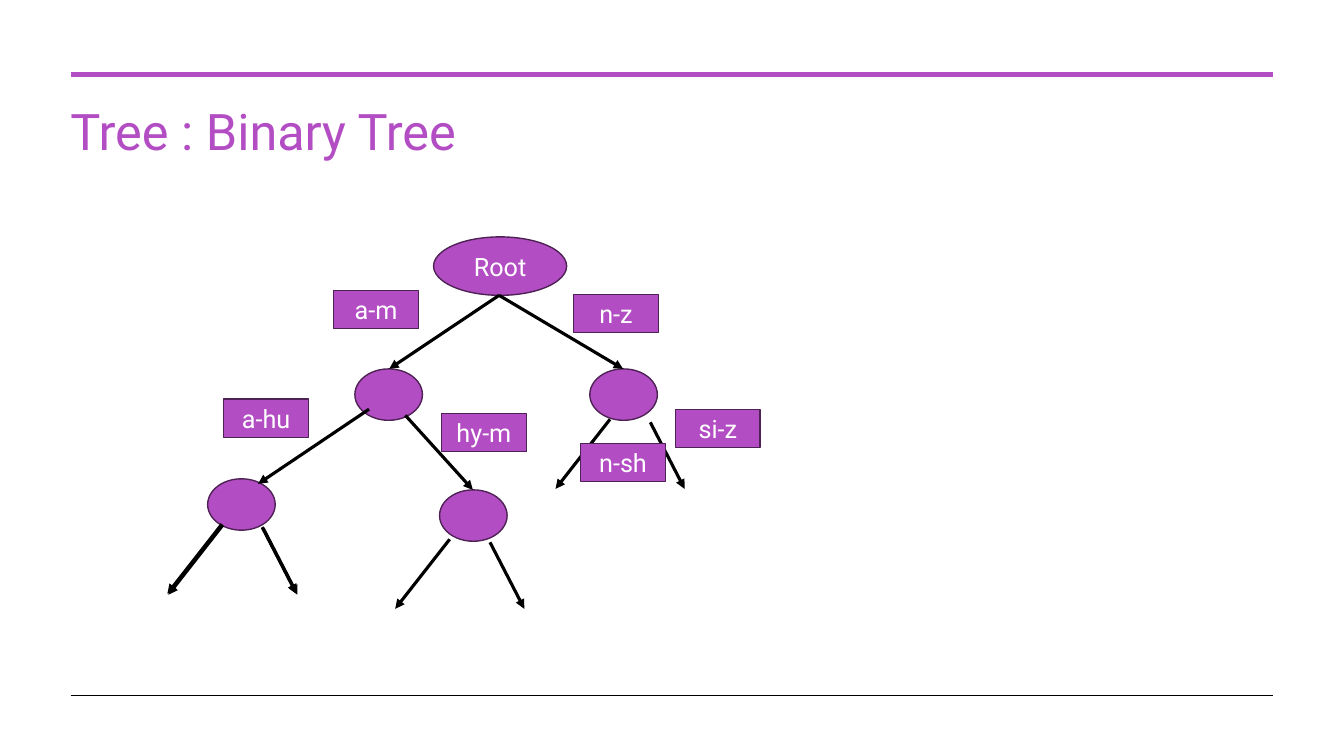
from dataclasses import dataclass

from lxml.etree import SubElement
from pptx import Presentation
from pptx.dml.color import RGBColor
from pptx.enum.shapes import MSO_CONNECTOR, MSO_SHAPE as Preset
from pptx.enum.text import MSO_ANCHOR, PP_ALIGN
from pptx.oxml.ns import qn
from pptx.shapes.connector import Connector
from pptx.slide import Slide
from pptx.text.text import _Paragraph as Paragraph
from pptx.util import Inches, Pt

COLORS = {"purple": "B34DC3", "outline": "4E2255", "black": "000000", "white": "FFFFFF"}
FONT = "Roboto"
NODE_SIZE = (0.67, 0.51)
RANGE_SIZE = (0.84, 0.38)


@dataclass(frozen=True)
class Block:
    left: float
    top: float
    width: float
    height: float
    preset: Preset = Preset.OVAL
    text: str = ""


@dataclass(frozen=True)
class Line:
    x1: float
    y1: float
    x2: float
    y2: float
    color: str = "black"
    weight: float = 2.25


RULES = [
    Line(0.7, 0.74, 12.63, 0.74, "purple", 3),
    Line(0.7, 6.9, 12.63, 6.9, "black", 0.5),
]
NODES = [Block(4.3, 2.35, 1.32, 0.58, text="Root")] + [
    Block(left, top, *NODE_SIZE)
    for left, top in [(3.52, 3.66), (5.85, 3.66), (4.36, 4.86), (2.06, 4.75)]
]
BRANCHES = [
    Line(4.95, 2.93, 3.86, 3.66),
    Line(4.95, 2.93, 6.18, 3.66),
    Line(3.66, 4.06, 2.56, 4.8),
    Line(4.02, 4.12, 4.69, 4.86),
]
# The lowest-left node has a doubled, heavier pair of open branches.
OPEN_BRANCH_STARTS = [(2.21, 5.21), (2.2, 5.2), (4.46, 5.35), (6.05, 4.16)]
RANGES = [
    Block(left, top, *RANGE_SIZE, Preset.RECTANGLE, text)
    for left, top, text in [
        (3.31, 2.88, "a-m"),
        (5.69, 2.92, "n-z"),
        (4.38, 4.1, "hy-m"),
        (2.22, 3.96, "a-hu"),
        (5.76, 4.4, "n-sh"),
        (6.7, 4.06, "si-z"),
    ]
]


def rgb(name: str) -> RGBColor:
    return RGBColor.from_string(COLORS[name])


def open_branches(x: float, y: float) -> list[Line]:
    """Left and right arrows that lead to no drawn node."""
    return [
        Line(x, y, x - 0.54, y + 0.69),
        Line(x + 0.4, y + 0.03, x + 0.74, y + 0.69),
    ]


def add_run(paragraph: Paragraph, text: str, size: float, color: str) -> None:
    run = paragraph.add_run()
    run.text = text
    run.font.name = FONT
    run.font.size = Pt(size)
    run.font.color.rgb = rgb(color)


def draw_title(slide: Slide, text: str) -> None:
    box = slide.shapes.add_textbox(Inches(0.6), Inches(1.04), Inches(12.02), Inches(1.18))
    box.text_frame.word_wrap = True
    heading = box.text_frame.paragraphs[0]
    heading.line_spacing = 0.85
    add_run(heading, text, 36, "purple")


def draw_block(slide: Slide, block: Block) -> None:
    shape = slide.shapes.add_shape(
        block.preset, Inches(block.left), Inches(block.top),
        Inches(block.width), Inches(block.height),
    )
    shape.shadow.inherit = False
    shape.fill.solid()
    shape.fill.fore_color.rgb = rgb("purple")
    shape.line.color.rgb = rgb("outline")
    shape.line.width = Pt(1)
    if block.text:
        frame = shape.text_frame
        frame.word_wrap = True
        frame.vertical_anchor = MSO_ANCHOR.MIDDLE
        frame.paragraphs[0].alignment = PP_ALIGN.CENTER
        add_run(frame.paragraphs[0], block.text, 18, "white")


def draw_line(slide: Slide, line: Line) -> Connector:
    connector = slide.shapes.add_connector(
        MSO_CONNECTOR.STRAIGHT, Inches(line.x1), Inches(line.y1),
        Inches(line.x2), Inches(line.y2),
    )
    connector.line.color.rgb = rgb(line.color)
    connector.line.width = Pt(line.weight)
    SubElement(connector._element.spPr, qn("a:effectLst"))
    return connector


def draw_arrow(slide: Slide, line: Line) -> None:
    connector = draw_line(slide, line)
    SubElement(connector.line._get_or_add_ln(), qn("a:tailEnd"), type="triangle")


def main() -> None:
    deck = Presentation()
    deck.slide_width, deck.slide_height = Inches(13.33), Inches(7.5)
    slide = deck.slides.add_slide(deck.slide_layouts[6])
    for rule in RULES:
        draw_line(slide, rule)
    draw_title(slide, "Tree : Binary Tree")
    for node in NODES:
        draw_block(slide, node)
    for branch in BRANCHES:
        draw_arrow(slide, branch)
    for start in OPEN_BRANCH_STARTS:
        for branch in open_branches(*start):
            draw_arrow(slide, branch)
    for letter_range in RANGES:
        draw_block(slide, letter_range)
    deck.save("out.pptx")


if __name__ == "__main__":
    main()
